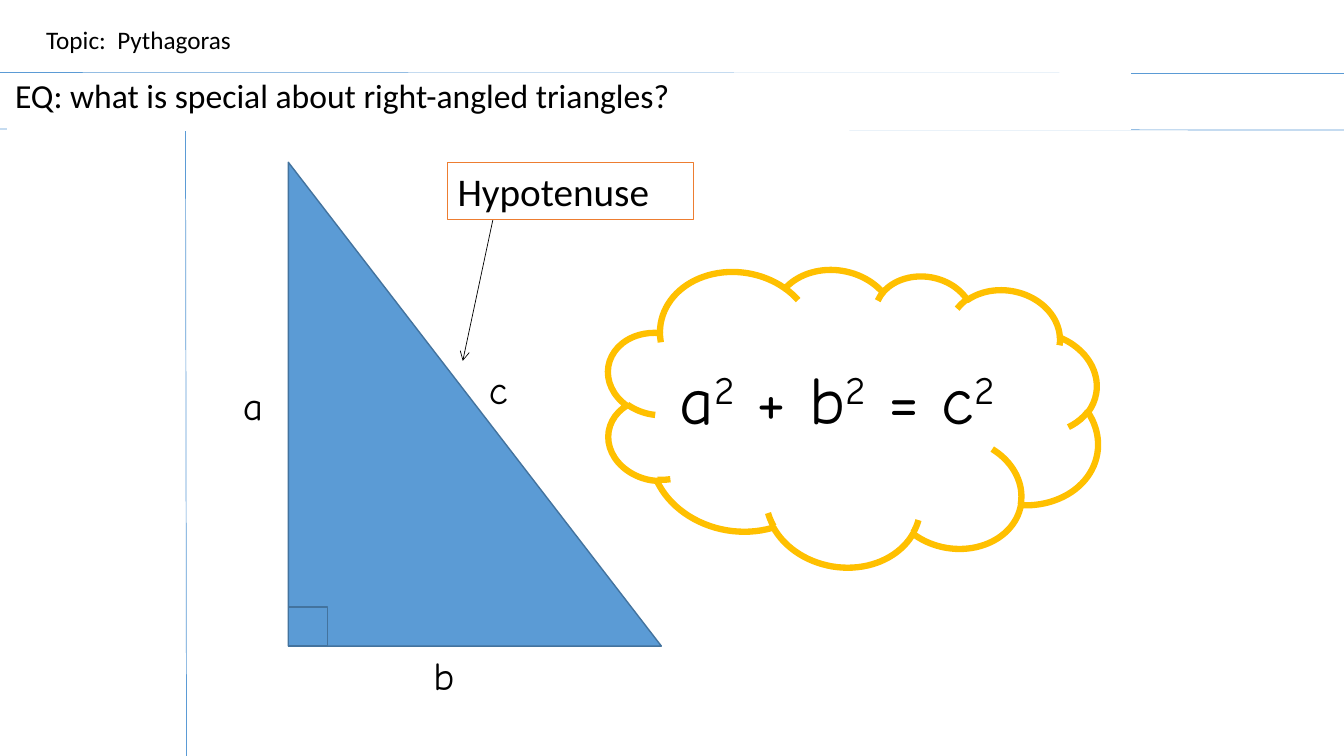
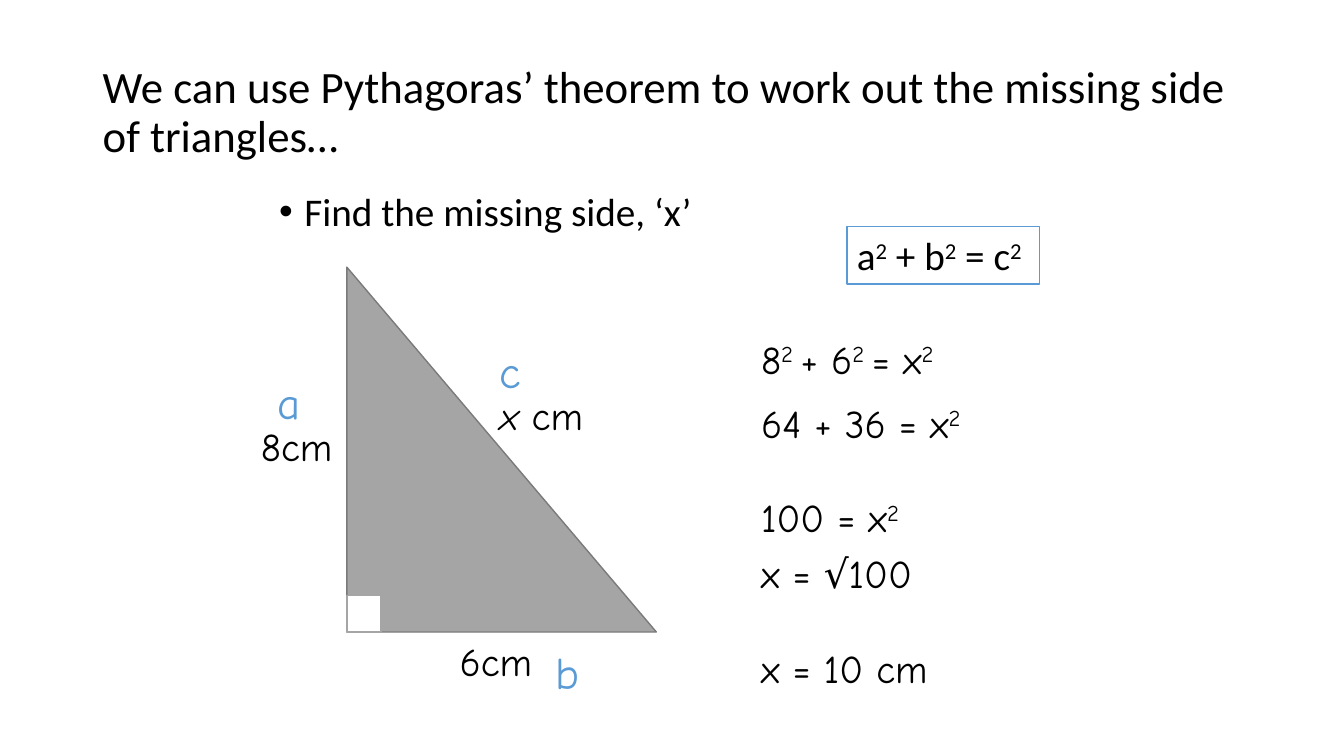
from lxml import etree
from pptx import Presentation
from pptx.dml.color import RGBColor
from pptx.enum.shapes import MSO_CONNECTOR, MSO_SHAPE
from pptx.enum.text import MSO_ANCHOR
from pptx.oxml.ns import qn
from pptx.util import Inches, Pt

STRAIGHT = MSO_CONNECTOR.STRAIGHT
RIGHT_TRIANGLE = MSO_SHAPE.RIGHT_TRIANGLE
RECTANGLE = MSO_SHAPE.RECTANGLE
CLOUD = MSO_SHAPE.CLOUD
TOP, MIDDLE = MSO_ANCHOR.TOP, MSO_ANCHOR.MIDDLE

COLORS = {
    "black": "000000", "white": "FFFFFF", "blue": "5B9BD5", "dark blue": "43739E",
    "orange": "ED7D31", "gold": "FFC000", "gray": "A5A5A5", "dark gray": "7A7A7A",
}
PLAIN, ROUNDED = "Calibri", "Comic Neue"
WIDTH, HEIGHT = 13.33, 7.5
THEOREM = "a^2^ + b^2^ = c^2"
LABEL = (0.71, 0.57)
LARGE_LABEL = (0.71, 0.64)


def color(name):
    return RGBColor.from_string(COLORS[name])


def inches(values):
    return [Inches(value) for value in values]


def paint(shape, fill, line, width=1):
    shape.fill.solid()
    shape.fill.fore_color.rgb = color(fill)
    shape.line.color.rgb = color(line)
    shape.line.width = Pt(width)


def add_runs(paragraph, text, size, font=PLAIN, ink="black", italic=False):
    """Add text run by run; the parts between carets are superscript."""
    for index, part in enumerate(text.split("^")):
        if not part:
            continue
        run = paragraph.add_run()
        run.text = part
        run.font.size = Pt(size)
        run.font.name = font
        run.font.color.rgb = color(ink)
        if italic:
            run.font.italic = True
        if index % 2:
            run.font._element.set("baseline", "30000")


def add_text(slide, box, text, size, font=PLAIN, ink="black", border=None,
             anchor=TOP, italic=False):
    """Add a text box and return its first paragraph."""
    shape = slide.shapes.add_textbox(*inches(box))
    if border:
        paint(shape, "white", border)
    frame = shape.text_frame
    frame.word_wrap = True
    frame.vertical_anchor = anchor
    paragraph = frame.paragraphs[0]
    add_runs(paragraph, text, size, font, ink, italic)
    return paragraph


def add_shape(slide, kind, box, fill, line, width=1):
    shape = slide.shapes.add_shape(kind, *inches(box))
    shape.shadow.inherit = False
    paint(shape, fill, line, width)
    return shape


def add_line(slide, start, end, ink, arrow=False):
    connector = slide.shapes.add_connector(STRAIGHT, *inches(start + end))
    connector.line.color.rgb = color(ink)
    connector.line.width = Pt(0.5)
    properties = connector._element.spPr
    if arrow:
        line = properties.find(qn("a:ln"))
        etree.SubElement(line, qn("a:tailEnd"), type="arrow")
    etree.SubElement(properties, qn("a:effectLst"))


def right_triangle(slide, box, corner, fill, line, corner_fill, corner_line):
    """Draw a right-angled triangle with its corner mark at the bottom left."""
    left, top, _, height = box
    mark_width, mark_height = corner
    add_shape(slide, RIGHT_TRIANGLE, box, fill, line)
    mark = (left, top + height - mark_height, mark_width, mark_height)
    add_shape(slide, RECTANGLE, mark, corner_fill, corner_line)


def side_labels(slide, origin, labels, size, label_size, ink="black"):
    """Place each label at its offset from the triangle's top left."""
    for text, across, down in labels:
        box = (origin[0] + across, origin[1] + down, *label_size)
        add_text(slide, box, text, size, ROUNDED, ink)


def page_rules(slide):
    add_line(slide, (0, 0.72), (WIDTH, 0.73), "blue")
    add_line(slide, (0, 1.28), (WIDTH, 1.29), "blue")
    add_line(slide, (1.84, 1.3), (1.85, HEIGHT), "blue")


def topic_line(slide, box):
    paragraph = add_text(slide, box, "Topic:", 18)
    add_runs(paragraph, " ", 18)
    paragraph.runs[-1].font._element.set("spc", "400")
    add_runs(paragraph, "Pythagoras", 18)
    paragraph._p.get_or_add_pPr().set("marL", str(Inches(0.08)))
    paragraph.line_spacing = 1.07


def question_table(slide, box):
    frame = slide.shapes.add_table(1, 1, *inches(box))
    frame.table.first_row = False
    frame.table.horz_banding = False
    cell = frame.table.cell(0, 0)
    cell.fill.solid()
    cell.fill.fore_color.rgb = color("white")
    cell.margin_left = cell.margin_right = Inches(0.07)
    cell.margin_top = cell.margin_bottom = 0
    paragraph = cell.text_frame.paragraphs[0]
    paragraph.line_spacing = 1.07
    paragraph.space_after = Pt(8)
    add_runs(paragraph, "EQ: what is special about right-angled triangles?", 24)


def hypotenuse_callout(slide, box):
    left, top, _, _ = box
    add_line(slide, (left + 0.47, top + 0.47), (left + 0.15, top + 1.97),
             "black", arrow=True)
    add_text(slide, box, "Hypotenuse", 28, border="orange")


def theorem_cloud(slide, box):
    left, top, _, _ = box
    cloud = add_shape(slide, CLOUD, box, "white", "gold", 4.5)
    cloud.rotation = 9.6
    add_text(slide, (left + 0.65, top + 0.87, 3.78, 0.91), THEOREM, 48, ROUNDED)


def heading(slide, box):
    paragraph = add_text(
        slide, box,
        "We can use Pythagoras’ theorem to work out the missing side of triangles…",
        32, anchor=MIDDLE)
    paragraph.line_spacing = 0.9


def task_bullet(slide, box):
    paragraph = add_text(slide, box, "Find the missing side, ‘x’", 28)
    paragraph.line_spacing = 0.9
    properties = paragraph._p.get_or_add_pPr()
    properties.set("marL", str(Inches(0.25)))
    properties.set("indent", str(Inches(-0.25)))
    etree.SubElement(properties, qn("a:buFont"), typeface="Arial")
    etree.SubElement(properties, qn("a:buChar"), char="•")


def measured_triangle(slide, box):
    left, top, _, _ = box
    right_triangle(slide, box, (0.34, 0.36), "gray", "dark gray", "white", "gray")
    side_labels(slide, box, [("6cm", 1.02, 3.62), ("8cm", -0.95, 1.49)],
                28, (1.2, 0.57))
    unknown = add_text(slide, (left + 1.42, top + 1.18, 1.42, 0.57), "x", 28,
                       ROUNDED, italic=True)
    add_runs(unknown, " cm", 28, ROUNDED)
    side_labels(slide, box,
                [("c", 1.42, 0.71), ("a", -0.79, 1.02), ("b", 1.97, 3.7)],
                32, LARGE_LABEL, "blue")


def working(slide, left, top, width):
    """Set out the steps; each group holds its offset, height and lines."""
    groups = [
        (0, 0.57, ["8^2 ^+ 6^2 ^= x^2"]),
        (0.63, 1.36, ["64 + 36 = x^2", "100 = x^2"]),
        (2.12, 1.51, ["x = √100", "x = 10 cm"]),
    ]
    for offset, height, lines in groups:
        box = (left, top + offset, width, height)
        first = add_text(slide, box, lines[0], 28, ROUNDED)
        for line in lines[1:]:
            paragraph = first._parent.add_paragraph()
            paragraph.space_before = Pt(34)
            add_runs(paragraph, line, 28, ROUNDED)


def theorem_slide(slide):
    page_rules(slide)
    topic_line(slide, (0.28, 0.17, 2.21, 0.41))
    question_table(slide, (0.08, 0.73, 11.13, 0.55))
    triangle = (2.86, 1.61, 3.7, 4.8)
    right_triangle(slide, triangle, (0.39, 0.39),
                   "blue", "dark blue", "blue", "dark blue")
    side_labels(slide, triangle,
                [("a", -0.55, 2.12), ("b", 1.34, 4.8), ("c", 1.89, 1.97)],
                28, LABEL)
    hypotenuse_callout(slide, (4.44, 1.61, 2.44, 0.57))
    theorem_cloud(slide, (5.99, 2.63, 4.92, 2.99))


def example_slide(slide):
    heading(slide, (0.92, 0.4, 11.5, 1.45))
    task_bullet(slide, (2.67, 1.86, 8.5, 0.6))
    measured_triangle(slide, (3.44, 2.65, 3.07, 3.62))
    add_text(slide, (8.4, 2.25, 1.91, 0.57), THEOREM, 28, border="blue")
    working(slide, 7.45, 3.28, 3.15)


def main():
    presentation = Presentation()
    presentation.slide_width = Inches(WIDTH)
    presentation.slide_height = Inches(HEIGHT)
    blank = presentation.slide_layouts[6]
    for build in (theorem_slide, example_slide):
        build(presentation.slides.add_slide(blank))
    presentation.save("out.pptx")


if __name__ == "__main__":
    main()
